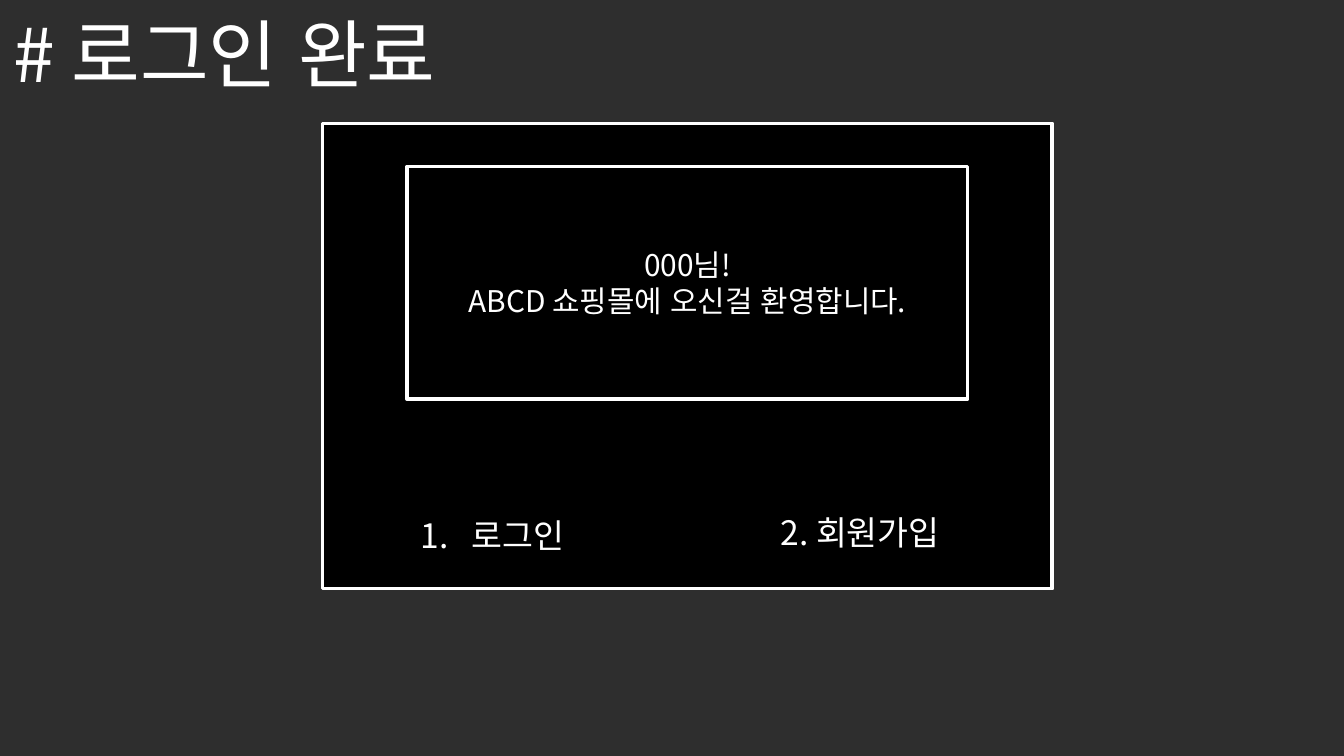
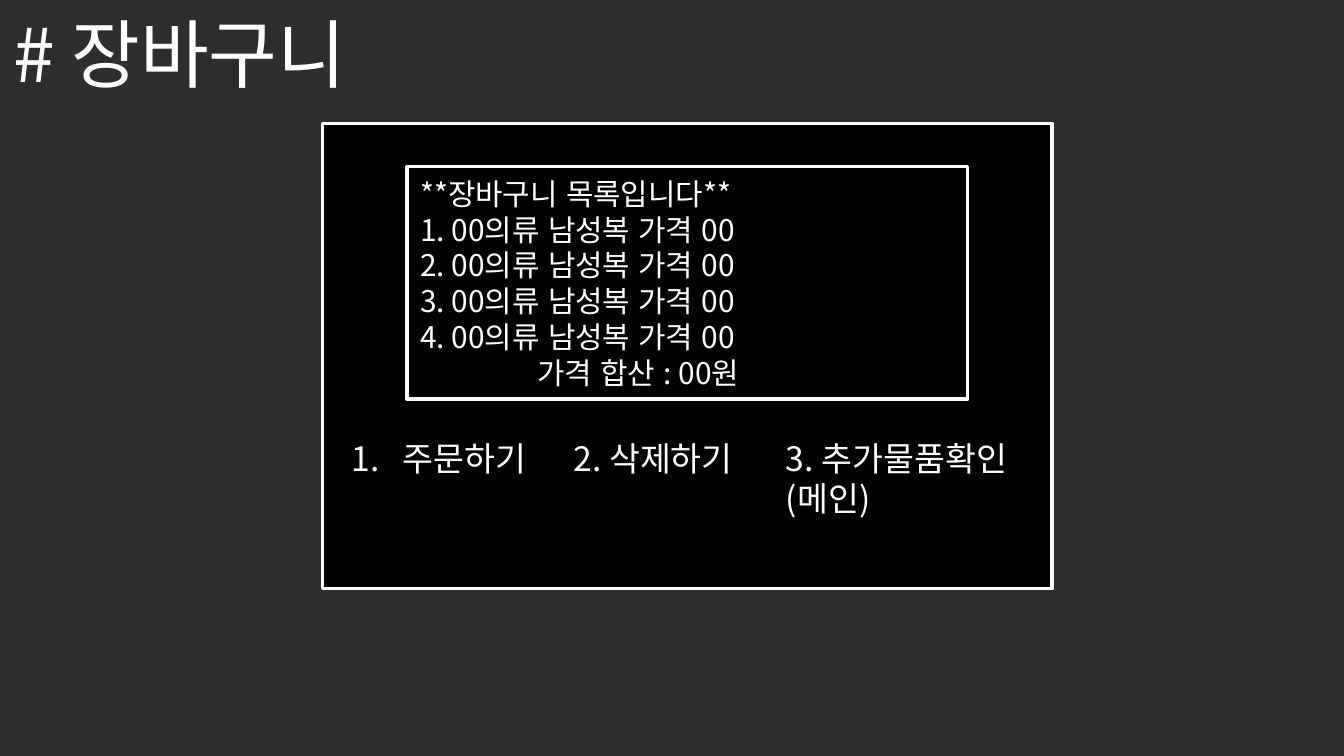
"""Build the login and shopping cart screens of a shop prototype."""
from lxml import etree
from pptx import Presentation
from pptx import util as u
from pptx.dml.color import RGBColor
from pptx.enum import lang, shapes, text
from pptx.oxml import ns

BACKGROUND = RGBColor(0x2E, 0x2E, 0x2E)
BLACK = RGBColor(0x00, 0x00, 0x00)
WHITE = RGBColor(0xFF, 0xFF, 0xFF)
FONT = "Noto Sans CJK KR"
TITLE_ONLY = 5


def write_text(frame, lines, size=18, align=text.PP_ALIGN.LEFT,
               anchor=text.MSO_ANCHOR.TOP, wrap=False,
               fit=text.MSO_AUTO_SIZE.SHAPE_TO_FIT_TEXT):
    frame.word_wrap = wrap
    frame.auto_size = fit
    frame.vertical_anchor = anchor
    for index, line in enumerate(lines):
        paragraph = frame.add_paragraph() if index else frame.paragraphs[0]
        paragraph.alignment = align
        run = paragraph.add_run()
        run.text = line
        run.font.size = u.Pt(size)
        run.font.color.rgb = WHITE
        run.font.name = FONT
        run.font.language_id = lang.MSO_LANGUAGE_ID.KOREAN
        properties = run._r.get_or_add_rPr()
        etree.SubElement(properties, ns.qn("a:ea"), typeface=FONT)


def indent(paragraph, left, first=0):
    properties = paragraph._p.get_or_add_pPr()
    properties.set("marL", str(u.Inches(left)))
    properties.set("indent", str(u.Inches(first)))
    return properties


class Screens:
    def __init__(self):
        self.presentation = Presentation()
        self.presentation.slide_width = u.Inches(10)
        self.presentation.slide_height = u.Inches(10) * 9 // 16
        self.slide = None

    def start(self, title, width):
        layout = self.presentation.slide_layouts[TITLE_ONLY]
        self.slide = self.presentation.slides.add_slide(layout)
        fill = self.slide.background.fill
        fill.solid()
        fill.fore_color.rgb = BACKGROUND
        shape = self.slide.shapes.title
        shape.left, shape.top = u.Inches(0), u.Inches(0.01)
        shape.width, shape.height = u.Inches(width), u.Inches(0.77)
        write_text(shape.text_frame, [title], size=40)
        self.panel(2.4, 0.92, 5.43, 3.46)

    def panel(self, left, top, width, height):
        shape = self.slide.shapes.add_shape(
            shapes.MSO_SHAPE.RECTANGLE, u.Inches(left), u.Inches(top),
            u.Inches(width), u.Inches(height))
        shape.shadow.inherit = False
        shape.fill.solid()
        shape.fill.fore_color.rgb = BLACK
        shape.line.color.rgb = WHITE
        shape.line.width = u.Pt(2)
        return shape

    def message(self, lines, align=text.PP_ALIGN.LEFT):
        frame = self.panel(3.03, 1.24, 4.17, 1.73).text_frame
        write_text(frame, lines, size=16, align=align, wrap=True,
                   anchor=text.MSO_ANCHOR.MIDDLE, fit=text.MSO_AUTO_SIZE.NONE)
        return frame

    def option(self, lines, left, top, width, height=0.4, numbered=False):
        box = self.slide.shapes.add_textbox(
            u.Inches(left), u.Inches(top), u.Inches(width), u.Inches(height))
        if numbered:
            properties = indent(box.text_frame.paragraphs[0], 0.38, -0.38)
            etree.SubElement(properties, ns.qn("a:buFont"), typeface="+mj-lt")
            etree.SubElement(properties, ns.qn("a:buAutoNum"), type="arabicPeriod")
        write_text(box.text_frame, lines)


def main():
    screens = Screens()

    screens.start("# 로그인 완료", 3.74)
    screens.message(["000님!", "ABCD 쇼핑몰에 오신걸 환영합니다."],
                    align=text.PP_ALIGN.CENTER)
    screens.option(["로그인"], 3.03, 3.78, 1.34, numbered=True)
    screens.option(["2. 회원가입"], 5.71, 3.76, 1.5)

    screens.start("# 장바구니", 2.98)
    items = [f"{number}. 00의류 남성복 가격 00" for number in range(1, 5)]
    cart = screens.message(["**장바구니 목록입니다**", *items, "가격 합산 : 00원"])
    indent(cart.paragraphs[-1], 0.87)
    screens.option(["주문하기"], 2.52, 3.21, 1.59, numbered=True)
    screens.option(["2. 삭제하기"], 4.17, 3.21, 1.5)
    screens.option(["3. 추가물품확인", "(메인)"], 5.75, 3.21, 2, 0.71)

    screens.presentation.save("out.pptx")


if __name__ == "__main__":
    main()
